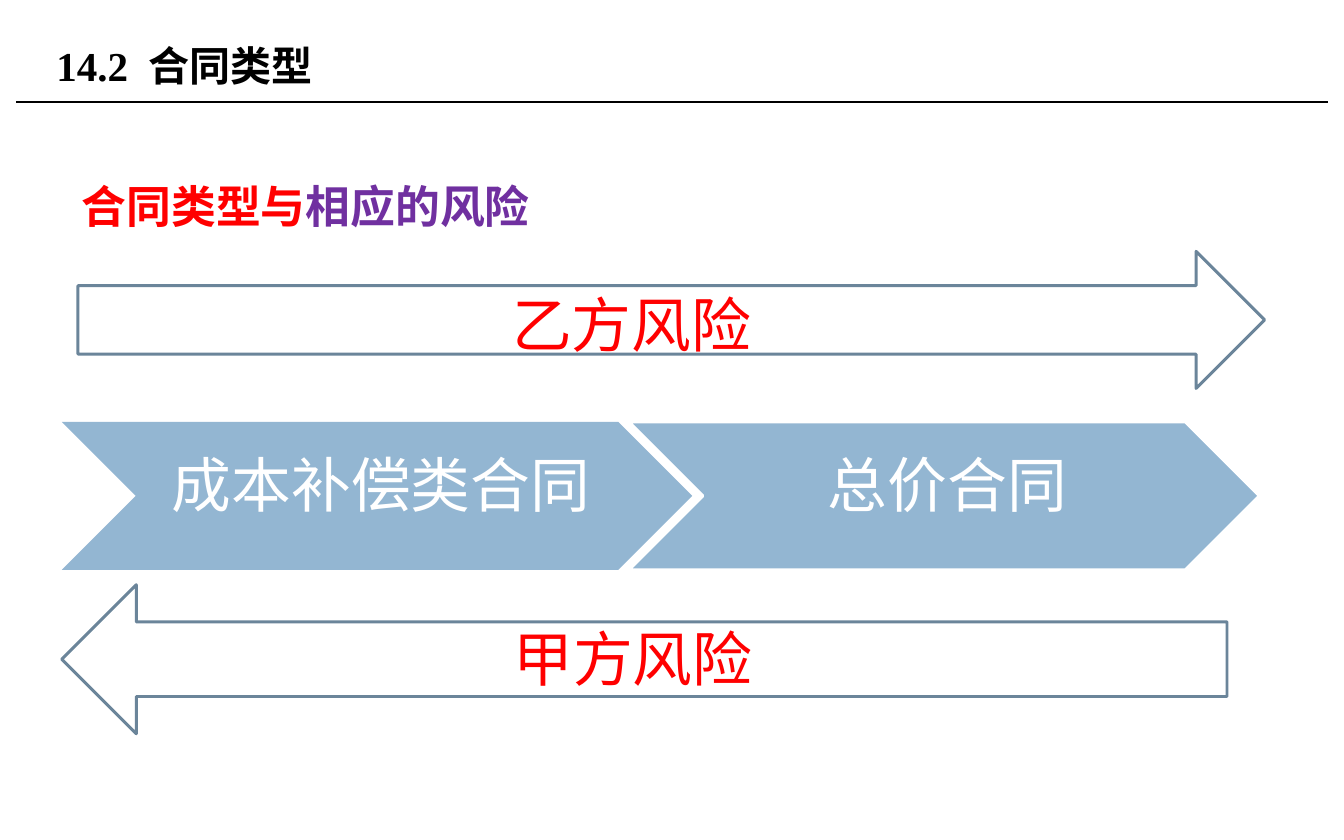
import pptx
import pptx.dml.color
import pptx.enum.shapes
import pptx.enum.text
import pptx.oxml
import pptx.oxml.ns
import pptx.util

PX = 9144  # EMU in one px, 100 px to the inch
COLOURS = {
    "ink": "000000",
    "white": "FFFFFF",
    "red": "FF0000",
    "purple": "7030A0",
    "chevron": "93B6D2",
    "arrow": "6B859A",
}
SHAPES = pptx.enum.shapes.MSO_SHAPE
ANCHORS = pptx.enum.text.MSO_ANCHOR


def colour(name):
    return pptx.dml.color.RGBColor.from_string(COLOURS[name])


def emu(*lengths):
    return [pptx.util.Emu(length * PX) for length in lengths]


def add_span(para, text, *, size, ink, latin, asian="Noto Sans CJK SC", bold=False):
    span = para.add_run()
    span.text = text
    font = span.font
    font.size = pptx.util.Pt(size)
    font.bold = bold
    font.name = latin
    font.color.rgb = colour(ink)
    east = pptx.oxml.parse_xml(
        f'<a:ea {pptx.oxml.ns.nsdecls("a")} typeface="{asian}"/>')
    font._element.find(pptx.oxml.ns.qn("a:latin")).addnext(east)


class Page:
    """Holds the heading style and the slide being built."""

    heading = {"latin": "Times New Roman", "bold": True}

    def __init__(self, deck):
        self.slide = deck.slides.add_slide(deck.slide_layouts[5])

    def title(self, text, left, top, width, height):
        box = self.slide.shapes.title
        box.left, box.top, box.width, box.height = emu(left, top, width, height)
        frame = box.text_frame
        frame.vertical_anchor = ANCHORS.MIDDLE
        para = frame.paragraphs[0]
        para.alignment = pptx.enum.text.PP_ALIGN.LEFT
        add_span(para, text, size=22, ink="ink", **self.heading)

    def rule(self, left, right, y):
        line = self.slide.shapes.add_connector(
            pptx.enum.shapes.MSO_CONNECTOR.STRAIGHT, *emu(left, y, right, y))
        line.line.color.rgb = colour("ink")
        line.line.width = pptx.util.Pt(0.75)
        line._element.spPr.append(pptx.oxml.parse_xml(
            f'<a:effectLst {pptx.oxml.ns.nsdecls("a")}/>'))

    def text_box(self, left, top, width, height):
        box = self.slide.shapes.add_textbox(*emu(left, top, width, height))
        box.text_frame.word_wrap = True
        return box.text_frame

    def subtitle(self, parts, left, top, width, height):
        para = self.text_box(left, top, width, height).paragraphs[0]
        para.line_spacing = 1.5
        for text, ink in parts:
            add_span(para, text, size=24, ink=ink, **self.heading)

    def label(self, text, left, top, width, height, *, ink, font):
        frame = self.text_box(left, top, width, height)
        frame.margin_left = frame.margin_right = frame.margin_bottom = 0
        frame.margin_top = emu(1)[0]
        add_span(frame.paragraphs[0], text, size=32, ink=ink, latin=font, asian=font)

    def shape(self, kind, left, top, width, height, *, fill=None, line=None):
        shape = self.slide.shapes.add_shape(kind, *emu(left, top, width, height))
        shape.shadow.inherit = False
        if fill:
            shape.fill.solid()
            shape.fill.fore_color.rgb = colour(fill)
        else:
            shape.fill.background()
        if line:
            shape.line.color.rgb = colour(line)
            shape.line.width = pptx.util.Pt(1.56)
        else:
            shape.line.fill.background()


def main():
    deck = pptx.Presentation()
    deck.slide_width, deck.slide_height = emu(1000, 625)
    page = Page(deck)

    page.rule(12, 988, 76)
    page.title("14.2  合同类型", 32, 13, 638, 71)
    page.subtitle([("合同类型与", "red"), ("相应的风险", "purple")], 51, 108, 898, 390)

    contracts = [
        ("成本补偿类合同", 46, None, 128, 314),
        ("总价合同", 468, "white", 616, 181),
    ]
    for text, left, line, text_left, text_width in contracts:
        page.shape(SHAPES.CHEVRON, left, 314, 469, 110, fill="chevron", line=line)
        page.label(text, text_left, 332, text_width, 56,
                   ink="white", font="Noto Sans CJK SC")

    risks = [
        ("乙方风险", SHAPES.RIGHT_ARROW, (58, 187, 883, 102), (381, 213, 409, 55)),
        ("甲方风险", SHAPES.LEFT_ARROW, (46, 435, 867, 111), (382, 462, 402, 55)),
    ]
    for text, kind, arrow, place in risks:
        page.shape(kind, *arrow, line="arrow")
        page.label(text, *place, ink="red", font="Noto Sans CJK JP")

    deck.save("out.pptx")


if __name__ == "__main__":
    main()
